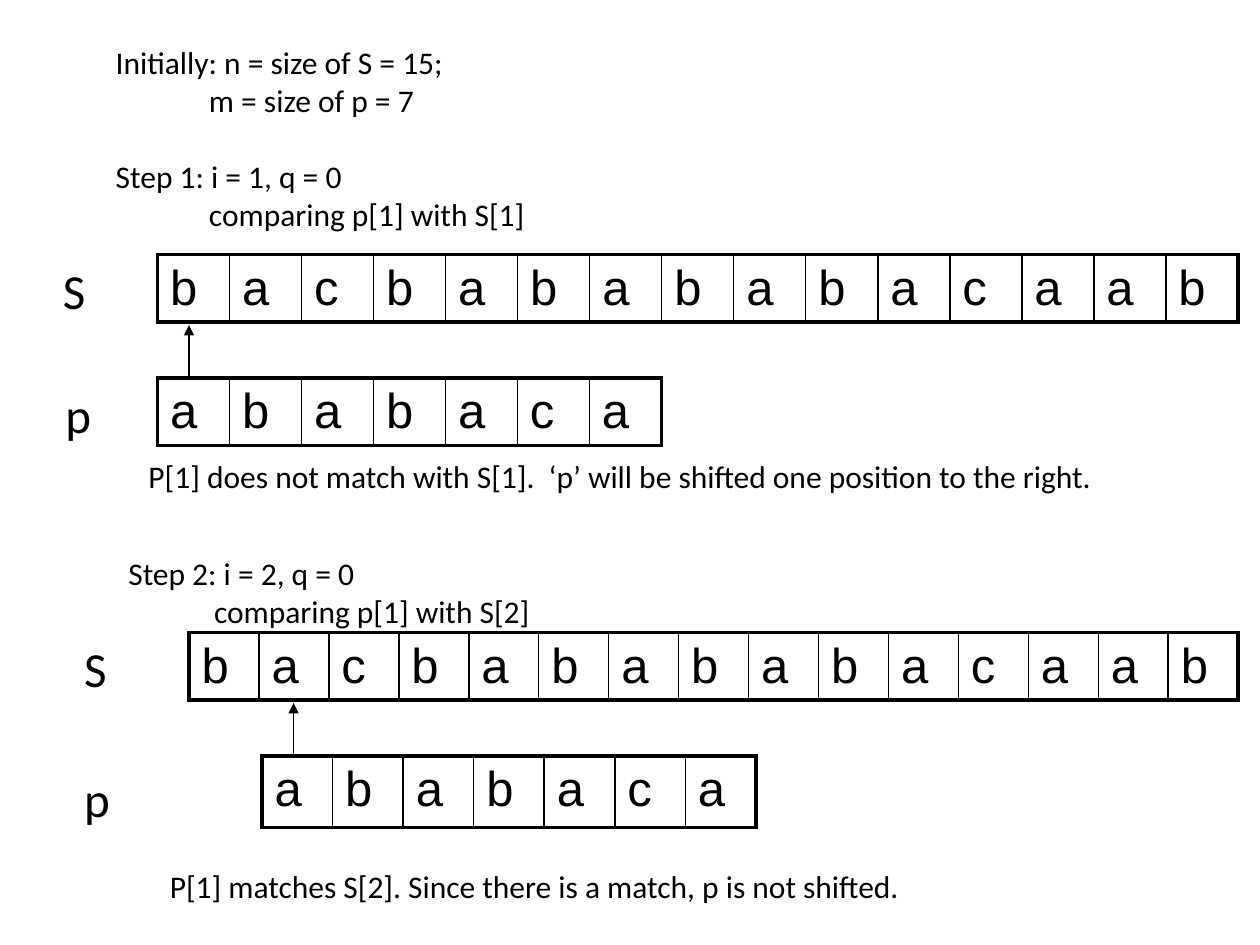
from lxml import etree
from pptx import Presentation
from pptx import util as u
from pptx.dml.color import RGBColor
from pptx.enum import shapes
from pptx.oxml import ns

BLACK = "000000"


def style_font(font, size, name):
    font.size = u.Pt(size)
    font.name = name
    font.bold = False
    font.color.rgb = RGBColor.from_string(BLACK)


def add_border(cell, side, width):
    line = etree.SubElement(cell._tc.get_or_add_tcPr(), ns.qn(f"a:ln{side}"), w=str(u.Pt(width)))
    fill = etree.SubElement(line, ns.qn("a:solidFill"))
    etree.SubElement(fill, ns.qn("a:srgbClr"), val=BLACK)


presentation = Presentation()
presentation.slide_width = u.Inches(10)
presentation.slide_height = u.Inches(7.5)
slide = presentation.slides.add_slide(presentation.slide_layouts[6])

# Letter strips: the searched string S and the pattern p, for each step
text_string = "bacbababab" "acaab"
pattern = "ababaca"
strips = [
    (text_string, 1.25, 2.02, 8.58, 0.5),
    (text_string, 1.5, 5.02, 8.33, 0.5),
    (pattern, 1.25, 3, 4, 0.53),
    (pattern, 2.08, 6, 3.92, 0.57),
]
for letters, left, top, width, height in strips:
    count = len(letters)
    table = slide.shapes.add_table(
        1, count, u.Inches(left), u.Inches(top), u.Inches(width), u.Inches(height)
    ).table
    table.first_row = table.horz_banding = False
    for index, letter in enumerate(letters):
        table.columns[index].width = u.Inches(width / count)
        cell = table.cell(0, index)
        cell.text_frame.text = letter
        style_font(cell.text_frame.paragraphs[0].runs[0].font, 28, "Arial")
        add_border(cell, "L", 2.25 if index == 0 else 1)
        add_border(cell, "R", 2.25 if index == count - 1 else 1)
        add_border(cell, "T", 2.25)
        add_border(cell, "B", 2.25)
        cell.fill.background()

# Text: left, top, width, height, size, wrap, lines of (text, indent, points before)
text_boxes = [
    (0.82, 0.29, 3.98, 1.6, 18, True, [
        ("Initially: n = size of S = 15;", 0, 0),
        ("m = size of p = 7", 0.74, 0),
        ("Step 1: i = 1, q = 0", 0, 22),
        ("comparing p[1] with S[1]", 0.74, 0),
    ]),
    (1.08, 3.58, 8.42, 0.85, 18, True, [
        ("P[1] does not match with S[1].  ‘p’ will be shifted one position to the right.", 0, 0),
    ]),
    (0.92, 4.35, 3.72, 0.7, 18, False, [
        ("Step 2: i = 2, q = 0", 0, 0),
        ("comparing p[1] with S[2]", 0.68, 0),
    ]),
    (1.25, 6.83, 6.6, 0.4, 18, False, [
        ("P[1] matches S[2]. Since there is a match, p is not shifted.", 0, 0),
    ]),
    (0.4, 2.02, 0.46, 0.57, 28, False, [("S", 0, 0)]),
    (0.42, 3, 0.42, 0.57, 28, False, [("p", 0, 0)]),
    (0.57, 5.02, 0.46, 0.57, 28, False, [("S", 0, 0)]),
    (0.57, 6.05, 0.42, 0.57, 28, False, [("p", 0, 0)]),
]
for left, top, width, height, size, wrap, lines in text_boxes:
    frame = slide.shapes.add_textbox(
        u.Inches(left), u.Inches(top), u.Inches(width), u.Inches(height)
    ).text_frame
    frame.word_wrap = wrap
    frame.text = "\n".join(line[0] for line in lines)
    for paragraph, (_, indent, before) in zip(frame.paragraphs, lines):
        if indent:
            paragraph._p.get_or_add_pPr().set("marL", str(u.Inches(indent)))
        if before:
            paragraph.space_before = u.Pt(before)
        style_font(paragraph.runs[0].font, size, "Calibri")

# Arrows from the pattern up to the compared letter
for x, start, end in [(1.5, 3, 2.58), (2.33, 6, 5.58)]:
    arrow = slide.shapes.add_connector(
        shapes.MSO_CONNECTOR.STRAIGHT, u.Inches(x), u.Inches(start), u.Inches(x), u.Inches(end)
    )
    arrow.line.width = u.Pt(0.75)
    arrow.line.color.rgb = RGBColor.from_string(BLACK)
    etree.SubElement(arrow.line._get_or_add_ln(), ns.qn("a:tailEnd"), type="triangle")
    etree.SubElement(arrow._element.spPr, ns.qn("a:effectLst"))

presentation.save("out.pptx")
